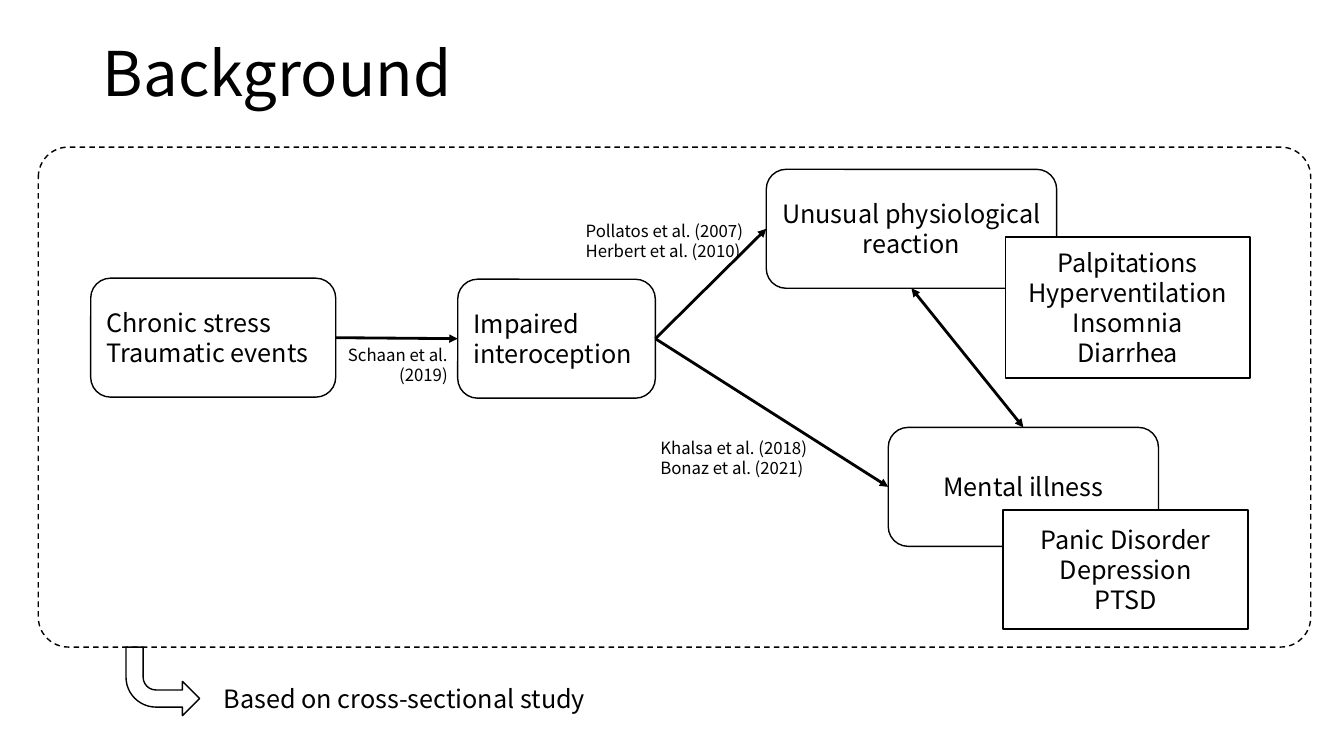
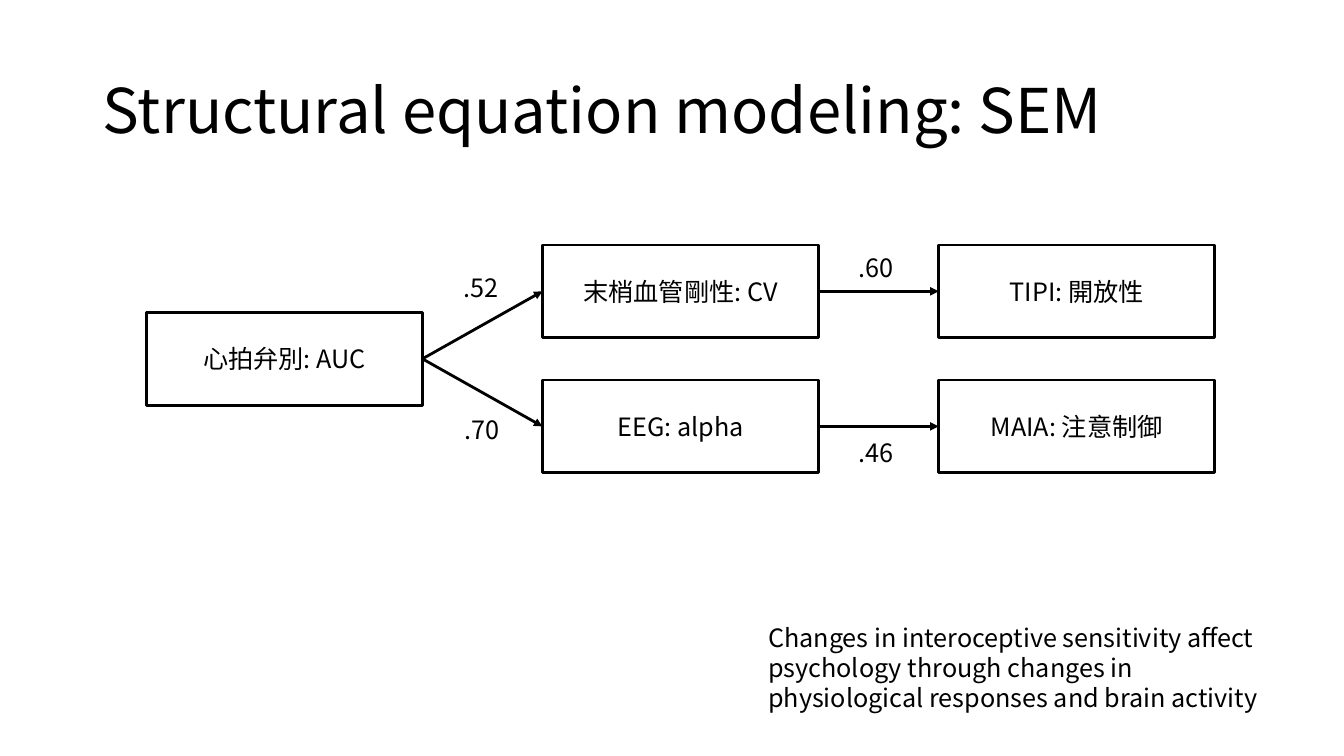
from dataclasses import dataclass
from typing import Any, NamedTuple

from lxml import etree
from pptx import Presentation, util as u
from pptx.dml.color import RGBColor
from pptx.enum import dml, shapes, text
from pptx.oxml import ns


@dataclass(frozen=True)
class Theme:
    ink: RGBColor = RGBColor(0, 0, 0)
    paper: RGBColor = RGBColor(255, 255, 255)
    font: str = "Noto Sans CJK JP"
    title_size: float = 44
    body_size: float = 18
    citation_size: float = 12
    leading: float = 1.2
    thin: float = 1
    thick: float = 2


THEME = Theme()
LEFT, CENTER, RIGHT = text.PP_ALIGN.LEFT, text.PP_ALIGN.CENTER, text.PP_ALIGN.RIGHT
RECTANGLE = shapes.MSO_SHAPE.RECTANGLE
ROUNDED = shapes.MSO_SHAPE.ROUNDED_RECTANGLE
TOP_SIDE, LEFT_SIDE, BOTTOM_SIDE, RIGHT_SIDE = range(4)


class Area(NamedTuple):
    left: float
    top: float
    width: float
    height: float

    def lengths(self) -> list[u.Length]:
        return [u.Inches(value) for value in self]


@dataclass(frozen=True)
class Box:
    area: Area
    lines: tuple[str, ...] = ()
    preset: Any = RECTANGLE
    align: Any = CENTER
    weight: float = THEME.thin
    filled: bool = True


@dataclass(frozen=True)
class Label:
    area: Area
    lines: tuple[str, ...]
    size: float = THEME.body_size
    align: Any = LEFT
    wrap: bool = False


@dataclass(frozen=True)
class Arrow:
    start: str
    start_side: int
    end: str
    end_side: int
    ends: tuple[str, ...] = ("tailEnd",)


def apply_format(target: Any, values: dict[str, Any]) -> None:
    for name, value in values.items():
        setattr(target, name, value)


def write_lines(shape: Any, lines: tuple[str, ...], size: float, align: Any, spacing: Any) -> None:
    frame = shape.text_frame
    for index, line in enumerate(lines):
        paragraph = frame.add_paragraph() if index else frame.paragraphs[0]
        apply_format(paragraph, {"alignment": align, "line_spacing": spacing})
        run = paragraph.add_run()
        run.text = line
        apply_format(run.font, {"size": u.Pt(size), "name": THEME.font})
        run.font.color.rgb = THEME.ink
    for properties in shape.element.iter(ns.qn("a:rPr")):
        etree.SubElement(properties, ns.qn("a:ea")).set("typeface", THEME.font)


def body_spacing(size: float) -> u.Length:
    return u.Pt(size * THEME.leading)


def draw_line(line: Any, weight: float) -> None:
    line.color.rgb = THEME.ink
    line.width = u.Pt(weight)


def add_titled_slide(presentation: Any, title: str, top: float) -> Any:
    slide = presentation.slides.add_slide(presentation.slide_layouts[5])
    shape = slide.shapes.title
    area = Area(0.92, top, 11.5, 1.45)
    apply_format(shape, dict(zip(area._fields, area.lengths())))
    apply_format(shape.text_frame, {
        "vertical_anchor": text.MSO_ANCHOR.MIDDLE,
        "auto_size": text.MSO_AUTO_SIZE.NONE,
        "word_wrap": True,
    })
    write_lines(shape, (title,), THEME.title_size, LEFT, 0.9)
    return slide


def add_box(slide: Any, box: Box) -> Any:
    shape = slide.shapes.add_shape(box.preset, *box.area.lengths())
    shape.shadow.inherit = False
    if box.filled:
        shape.fill.solid()
        shape.fill.fore_color.rgb = THEME.paper
    else:
        shape.fill.background()
    draw_line(shape.line, box.weight)
    apply_format(shape.text_frame, {"word_wrap": True, "vertical_anchor": text.MSO_ANCHOR.MIDDLE})
    write_lines(shape, box.lines, THEME.body_size, box.align, body_spacing(THEME.body_size))
    return shape


def add_label(slide: Any, label: Label) -> None:
    shape = slide.shapes.add_textbox(*label.area.lengths())
    apply_format(shape.text_frame, {
        "word_wrap": label.wrap,
        "auto_size": text.MSO_AUTO_SIZE.SHAPE_TO_FIT_TEXT,
    })
    write_lines(shape, label.lines, label.size, label.align, body_spacing(label.size))


def add_arrow(slide: Any, arrow: Arrow, drawn: dict[str, Any]) -> None:
    connector = slide.shapes.add_connector(shapes.MSO_CONNECTOR.STRAIGHT, 0, 0, 0, 0)
    connector.begin_connect(drawn[arrow.start], arrow.start_side)
    connector.end_connect(drawn[arrow.end], arrow.end_side)
    draw_line(connector.line, THEME.thick)
    properties = connector.element.spPr
    outline = properties.find(ns.qn("a:ln"))
    for end in arrow.ends:
        etree.SubElement(outline, ns.qn(f"a:{end}")).set("type", "triangle")
    etree.SubElement(properties, ns.qn("a:effectLst"))


def add_diagram(slide: Any, boxes: dict[str, Box], arrows: list[Arrow], labels: list[Label]) -> None:
    drawn = {key: add_box(slide, box) for key, box in boxes.items()}
    for arrow in arrows:
        add_arrow(slide, arrow, drawn)
    for label in labels:
        add_label(slide, label)


def build_background(presentation: Any) -> None:
    slide = add_titled_slide(presentation, "Background", 0.03)
    height = 1.18
    boxes = {
        "stress": Box(Area(0.9, 2.76, 2.43, height), ("Chronic stress", "Traumatic events"), ROUNDED, LEFT),
        "interoception": Box(Area(4.54, 2.77, 1.96, height), ("Impaired interoception",), ROUNDED, LEFT),
        "reaction": Box(Area(7.6, 1.68, 2.88, height), ("Unusual physiological reaction",), ROUNDED),
        "symptoms": Box(Area(9.97, 2.35, 2.43, 1.4),
                        ("Palpitations", "Hyperventilation", "Insomnia", "Diarrhea")),
        "illness": Box(Area(8.81, 4.24, 2.68, height), ("Mental illness",), ROUNDED),
        "disorders": Box(Area(9.95, 5.06, 2.43, height), ("Panic Disorder", "Depression", "PTSD")),
    }
    arrows = [
        Arrow("stress", RIGHT_SIDE, "interoception", LEFT_SIDE),
        Arrow("interoception", RIGHT_SIDE, "reaction", LEFT_SIDE),
        Arrow("interoception", RIGHT_SIDE, "illness", LEFT_SIDE),
        Arrow("reaction", BOTTOM_SIDE, "illness", TOP_SIDE, ("headEnd", "tailEnd")),
    ]
    small = THEME.citation_size
    labels = [
        Label(Area(5.71, 2.14, 1.81, 0.5), ("Pollatos et al. (2007)", "Herbert et al. (2010)"), small),
        Label(Area(6.45, 4.29, 1.72, 0.5), ("Khalsa et al. (2018)", "Bonaz et al. (2021)"), small),
        Label(Area(3.33, 3.37, 1.21, 0.5), ("Schaan et al.", "(2019)"), small, RIGHT),
        Label(Area(2.12, 6.73, 3.85, 0.4), ("Based on cross-sectional study",)),
    ]
    add_diagram(slide, boxes, arrows, labels)

    study_arrow = add_box(slide, Box(Area(1.25, 6.42, 0.73, 0.68),
                                     preset=shapes.MSO_SHAPE.BENT_ARROW, filled=False))
    study_arrow.element.spPr.find(ns.qn("a:xfrm")).set("flipV", "1")
    study_frame = add_box(slide, Box(Area(0.38, 1.46, 12.62, 4.96), preset=ROUNDED, filled=False))
    study_frame.adjustments[0] = 0.06
    study_frame.line.dash_style = dml.MSO_LINE.DASH


def build_model(presentation: Any) -> None:
    slide = add_titled_slide(presentation, "Structural equation modeling: SEM", 0.4)
    columns = [1.45 + 3.93 * index for index in range(3)]
    upper, lower = 2.43, 3.77
    cells = [
        ("AUC", 0, (upper + lower) / 2, "心拍弁別: AUC"),
        ("CV", 1, upper, "末梢血管剛性: CV"),
        ("EEG", 1, lower, "EEG: alpha"),
        ("TIPI", 2, upper, "TIPI: 開放性"),
        ("MAIA", 2, lower, "MAIA: 注意制御"),
    ]
    boxes = {
        key: Box(Area(columns[column], top, 2.74, 0.92), (line,), weight=THEME.thick, filled=False)
        for key, column, top, line in cells
    }
    links = [("AUC", "CV"), ("AUC", "EEG"), ("CV", "TIPI"), ("EEG", "MAIA")]
    arrows = [Arrow(start, RIGHT_SIDE, end, LEFT_SIDE) for start, end in links]
    coefficients = [(4.51, 4.06, ".70"), (4.5, 2.65, ".52"), (8.42, 2.45, ".60"), (8.42, 4.29, ".46")]
    labels = [Label(Area(left, top, 0.55, 0.4), (value,)) for left, top, value in coefficients]
    conclusion = ("Changes in interoceptive sensitivity affect psychology through changes in "
                  "physiological responses and brain activity")
    labels.append(Label(Area(7.52, 6.12, 5.14, 1.01), (conclusion,), wrap=True))
    add_diagram(slide, boxes, arrows, labels)


def main() -> None:
    presentation = Presentation()
    apply_format(presentation, {"slide_width": u.Inches(13.33), "slide_height": u.Inches(7.5)})
    build_background(presentation)
    build_model(presentation)
    presentation.save("out.pptx")


if __name__ == "__main__":
    main()
